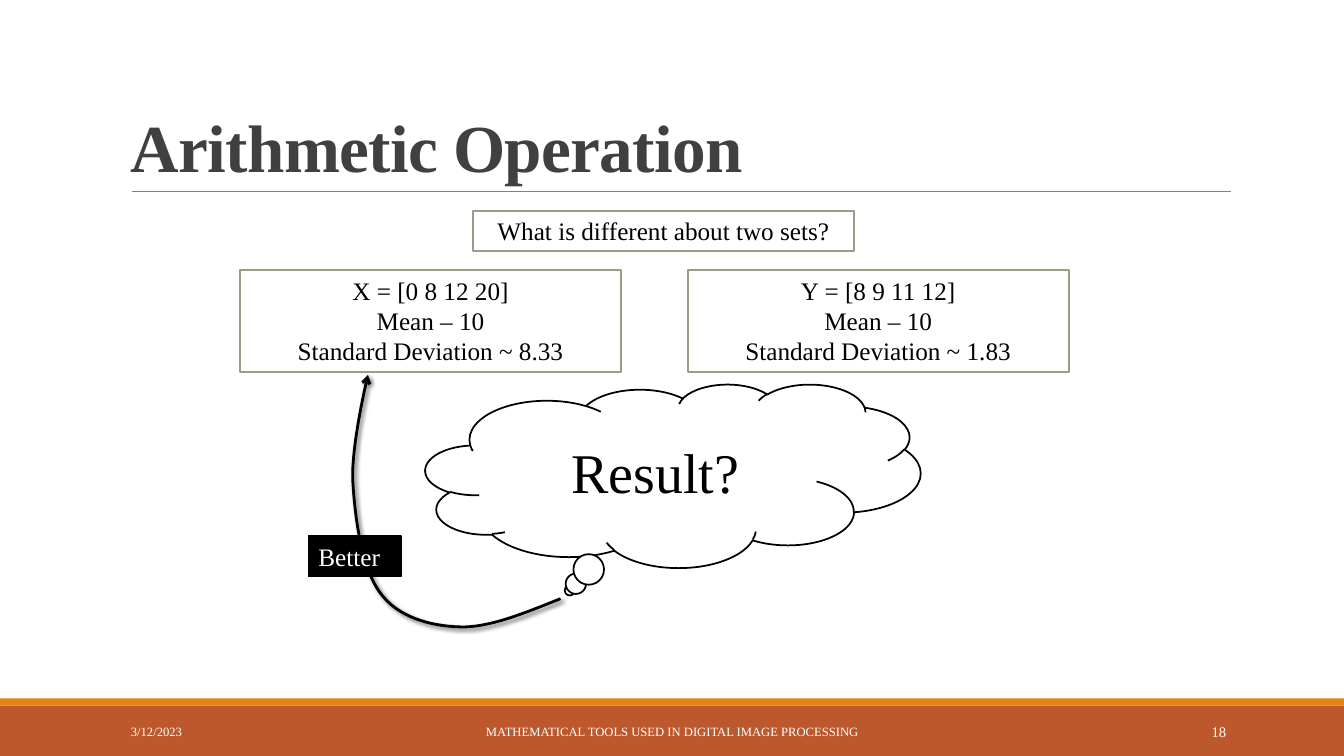
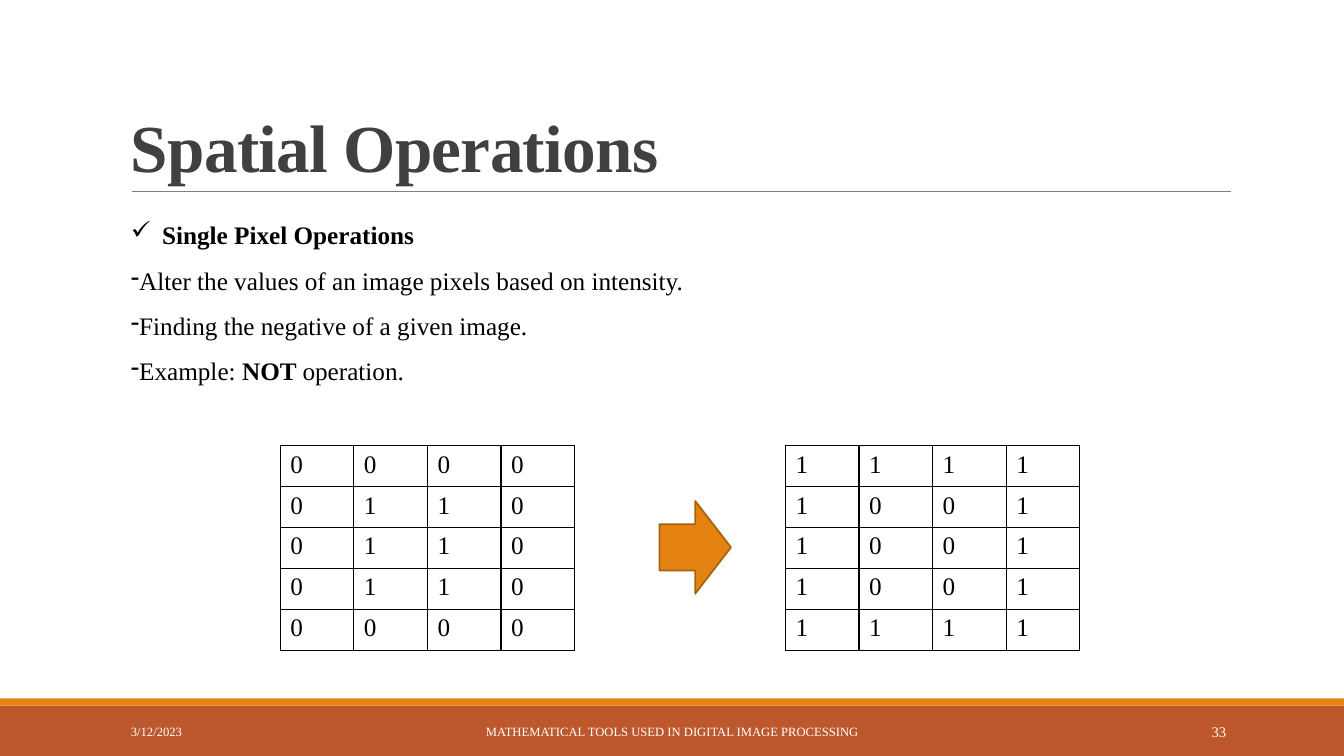
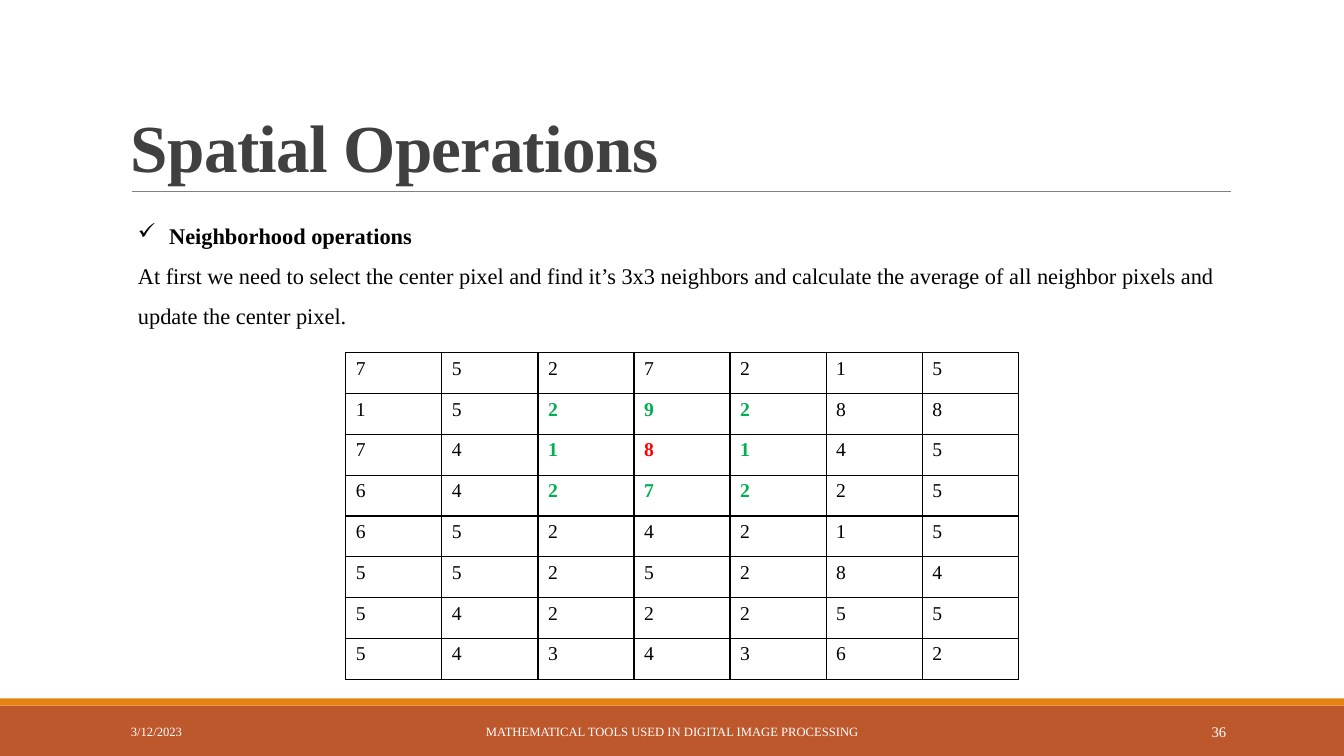
from dataclasses import dataclass
from typing import Any, NamedTuple

from lxml import etree
from pptx import Presentation
from pptx import util as u
from pptx.dml.color import RGBColor
from pptx.enum import shapes, text
from pptx.oxml.ns import qn

FONT = "Times New Roman"
BLACK, WHITE, SAGE = "000000", "FFFFFF", "94A088"
ORANGE, RUST, BROWN = "E48312", "BD582C", "A9610D"
GREEN, RED, GREY, CHARCOAL = "00B050", "FF0000", "808080", "404040"
LEFT, CENTER, RIGHT = text.PP_ALIGN.LEFT, text.PP_ALIGN.CENTER, text.PP_ALIGN.RIGHT
TOP, MIDDLE, BOTTOM = text.MSO_ANCHOR.TOP, text.MSO_ANCHOR.MIDDLE, text.MSO_ANCHOR.BOTTOM
KIND = shapes.MSO_SHAPE

DATE = "3/12/2023"
LECTURE = "MATHEMATICAL TOOLS USED IN DIGITAL IMAGE PROCESSING"


class Area(NamedTuple):
    left: float
    top: float
    width: float
    height: float

    def emu(self) -> list[int]:
        return [u.Inches(v) for v in self]


class Run(NamedTuple):
    text: str
    bold: bool = False


@dataclass
class Para:
    runs: list[Run]
    bullet: str = ""
    hang: float = 0


@dataclass
class TextStyle:
    size: float = 18
    color: str = BLACK
    align: Any = LEFT
    anchor: Any = TOP
    line_spacing: float = 1.0
    letter_spacing: float = 0


@dataclass
class Panel:
    area: Area
    lines: list[str]
    style: TextStyle
    fill: str = WHITE
    line: str = SAGE
    kind: Any = KIND.RECTANGLE


def rgb(color: str) -> RGBColor:
    return RGBColor.from_string(color)


def set_attrs(target: Any, values: dict[str, Any]) -> None:
    for name, value in values.items():
        setattr(target, name, value)


def sub(parent: Any, tag: str, **attrs: Any) -> Any:
    """Append a DrawingML element such as a:ln."""
    return etree.SubElement(parent, qn(tag), {k: str(v) for k, v in attrs.items()})


def plain(lines: list[str]) -> list[Para]:
    return [Para([Run(line)]) for line in lines]


def write(tf: Any, paras: list[Para], style: TextStyle) -> None:
    set_attrs(tf, {"word_wrap": True, "vertical_anchor": style.anchor})
    for i, para in enumerate(paras):
        p = tf.paragraphs[0] if i == 0 else tf.add_paragraph()
        set_attrs(p, {"alignment": style.align, "line_spacing": style.line_spacing})
        if para.bullet:
            pPr = p._p.get_or_add_pPr()
            pPr.set("marL", str(u.Inches(para.hang)))
            pPr.set("indent", str(-u.Inches(para.hang)))
            sub(pPr, "a:buChar", char=para.bullet)
        for run in para.runs:
            r = p.add_run()
            r.text = run.text
            set_attrs(r.font, {"name": FONT, "size": u.Pt(style.size), "bold": run.bold})
            r.font.color.rgb = rgb(style.color)
            if style.letter_spacing:
                r._r.get_or_add_rPr().set("spc", str(round(style.letter_spacing * 100)))


def add_text(slide: Any, area: Area, paras: list[Para], style: TextStyle) -> None:
    write(slide.shapes.add_textbox(*area.emu()).text_frame, paras, style)


def add_shape(slide: Any, kind: Any, area: Area, fill: str, line: str = "") -> Any:
    sp = slide.shapes.add_shape(kind, *area.emu())
    sp.shadow.inherit = False
    sp.fill.solid()
    sp.fill.fore_color.rgb = rgb(fill)
    if line:
        sp.line.color.rgb = rgb(line)
        sp.line.width = u.Pt(1.25)
    else:
        sp.line.fill.background()
    return sp


def add_panel(slide: Any, panel: Panel) -> None:
    sp = add_shape(slide, panel.kind, panel.area, panel.fill, panel.line)
    write(sp.text_frame, plain(panel.lines), panel.style)


def add_grid(slide: Any, area: Area, rows: list[list[int]], size: float,
             center: tuple[int, int] | None = None) -> None:
    """Draw a pixel table; center marks a pixel in red and its neighbors in green."""
    tbl = slide.shapes.add_table(len(rows), len(rows[0]), *area.emu()).table
    set_attrs(tbl, {"first_row": False, "horz_banding": False})
    for i, row in enumerate(rows):
        for j, value in enumerate(row):
            cell = tbl.cell(i, j)
            tcPr = cell._tc.get_or_add_tcPr()
            for side in ("a:lnL", "a:lnR", "a:lnT", "a:lnB"):
                ln = sub(tcPr, side, w=u.Pt(1))
                sub(sub(ln, "a:solidFill"), "a:srgbClr", val=BLACK)
            cell.fill.solid()
            cell.fill.fore_color.rgb = rgb(WHITE)
            distance = max(abs(i - center[0]), abs(j - center[1])) if center else 2
            color = {0: RED, 1: GREEN}.get(distance, BLACK)
            write(cell.text_frame, [Para([Run(str(value), distance < 2)])],
                  TextStyle(size, color))


def bezier(points: list[tuple[float, float]], steps: int = 16) -> list[tuple[int, int]]:
    """Sample a chain of cubic curves that share their end points."""
    samples = [points[0]]
    for k in range(0, len(points) - 1, 3):
        for n in range(1, steps + 1):
            t = n / steps
            weights = ((1 - t) ** 3, 3 * t * (1 - t) ** 2, 3 * t * t * (1 - t), t ** 3)
            xs, ys = zip(*points[k:k + 4])
            samples.append((sum(w * x for w, x in zip(weights, xs)),
                            sum(w * y for w, y in zip(weights, ys))))
    return [(u.Inches(x), u.Inches(y)) for x, y in samples]


def add_curved_arrow(slide: Any, points: list[tuple[float, float]]) -> None:
    start, *rest = bezier(points)
    builder = slide.shapes.build_freeform(*start)
    builder.add_line_segments(rest, close=False)
    sp = builder.convert_to_shape()
    sp.fill.background()
    sp.line.color.rgb = rgb(BLACK)
    sp.line.width = u.Pt(2)
    sp.shadow.inherit = False
    spPr = sp._element.spPr
    ln = spPr.find(qn("a:ln"))
    sub(ln, "a:round")
    sub(ln, "a:tailEnd", type="arrow")
    shadow = sub(spPr.find(qn("a:effectLst")), "a:outerShdw", blurRad=u.Pt(3),
                 dist=u.Pt(2), dir=45 * 60000, algn="tl", rotWithShape=0)
    sub(sub(shadow, "a:srgbClr", val=BLACK), "a:alpha", val=60000)


def new_slide(prs: Any, title: str, number: int) -> Any:
    """Add a slide with the shared bands, title, rule and footer."""
    slide = prs.slides.add_slide(prs.slide_layouts[6])
    add_shape(slide, KIND.RECTANGLE, Area(0, 7, 13.33, 0.5), RUST)
    add_shape(slide, KIND.RECTANGLE, Area(0, 6.93, 13.33, 0.07), ORANGE)
    rule = slide.shapes.add_connector(
        shapes.MSO_CONNECTOR.STRAIGHT, *Area(1.31, 1.9, 12.21, 1.9).emu())
    rule.line.color.rgb = rgb(GREY)
    rule.line.width = u.Pt(0.5)
    sub(rule._element.spPr, "a:effectLst")
    add_text(slide, Area(1.2, 0.31, 11, 1.59), [Para([Run(title, True)])],
             TextStyle(48, CHARCOAL, anchor=BOTTOM, line_spacing=0.85, letter_spacing=-0.5))
    for left, width, words, size, align in (
        (1.2, 2.7, DATE, 9, LEFT),
        (4.03, 5.27, LECTURE, 9, CENTER),
        (10.83, 1.43, str(number), 10.5, RIGHT),
    ):
        add_text(slide, Area(left, 7.06, width, 0.4), plain([words]),
                 TextStyle(size, WHITE, align, MIDDLE))
    return slide


def arithmetic_slide(prs: Any) -> None:
    slide = new_slide(prs, "Arithmetic Operation", 18)
    centered = TextStyle(align=CENTER)
    for panel in (
        Panel(Area(2.38, 2.68, 3.78, 1.01),
              ["X = [0 8 12 20]", "Mean – 10", "Standard Deviation ~ 8.33"], centered),
        Panel(Area(6.82, 2.68, 3.78, 1.01),
              ["Y = [8 9 11 12]", "Mean – 10", "Standard Deviation ~ 1.83"], centered),
        Panel(Area(4.69, 2.09, 3.78, 0.4), ["What is different about two sets?"], centered),
        Panel(Area(4.22, 3.81, 4.91, 1.82), ["Result?"],
              TextStyle(40, align=CENTER, anchor=MIDDLE), line=BLACK,
              kind=KIND.CLOUD_CALLOUT),
    ):
        add_panel(slide, panel)
    add_curved_arrow(slide, [
        (5.56, 5.94), (5.21, 6.08), (4.85, 6.23), (4.56, 6.22), (4.26, 6.21),
        (3.94, 6.12), (3.77, 5.88), (3.59, 5.64), (3.52, 5.14), (3.5, 4.78),
        (3.48, 4.42), (3.65, 3.72), (3.65, 3.72)])
    add_panel(slide, Panel(Area(3.06, 5.32, 0.92, 0.4), ["Better"],
                           TextStyle(color=WHITE), fill=BLACK, line=BLACK))


def single_pixel_slide(prs: Any) -> None:
    slide = new_slide(prs, "Spatial Operations", 33)
    add_text(slide, Area(1.2, 1.98, 11, 2.22), [
        Para([Run("Single Pixel Operations", True)], "✓", 0.31),
        Para([Run("Alter the values of an image pixels based on intensity.")], "-"),
        Para([Run("Finding the negative of a given image.")], "-"),
        Para([Run("Example:"), Run(" NOT ", True), Run("operation.")], "-"),
    ], TextStyle(line_spacing=1.5))
    pixels = [[0, 0, 0, 0], *([0, 1, 1, 0] for _ in range(3)), [0, 0, 0, 0]]
    negative = [[1 - value for value in row] for row in pixels]
    add_grid(slide, Area(2.78, 4.42, 2.92, 2.03), pixels, 18)
    add_shape(slide, KIND.RIGHT_ARROW, Area(6.54, 4.97, 0.71, 0.92), ORANGE, BROWN)
    add_grid(slide, Area(7.79, 4.42, 2.92, 2.03), negative, 18)


def neighborhood_slide(prs: Any) -> None:
    slide = new_slide(prs, "Spatial Operations", 36)
    add_text(slide, Area(1.27, 2.02, 10.93, 1.26), [
        Para([Run("Neighborhood operations", True)], "✓", 0.31),
        Para([Run("At first we need to select the center pixel and find it’s 3x3 neighbors "
                  "and calculate the average of all neighbor pixels and update the center "
                  "pixel.")]),
    ], TextStyle(16, line_spacing=1.5))
    pixels = [
        [7, 5, 2, 7, 2, 1, 5],
        [1, 5, 2, 9, 2, 8, 8],
        [7, 4, 1, 8, 1, 4, 5],
        [6, 4, 2, 7, 2, 2, 5],
        [6, 5, 2, 4, 2, 1, 5],
        [5, 5, 2, 5, 2, 8, 4],
        [5, 4, 2, 2, 2, 5, 5],
        [5, 4, 3, 4, 3, 6, 2],
    ]
    add_grid(slide, Area(3.43, 3.5, 6.67, 3.24), pixels, 14, center=(2, 3))


def main() -> None:
    prs = Presentation()
    set_attrs(prs, {"slide_width": u.Inches(13.33), "slide_height": u.Inches(7.5)})
    arithmetic_slide(prs)
    single_pixel_slide(prs)
    neighborhood_slide(prs)
    prs.save("out.pptx")


if __name__ == "__main__":
    main()
